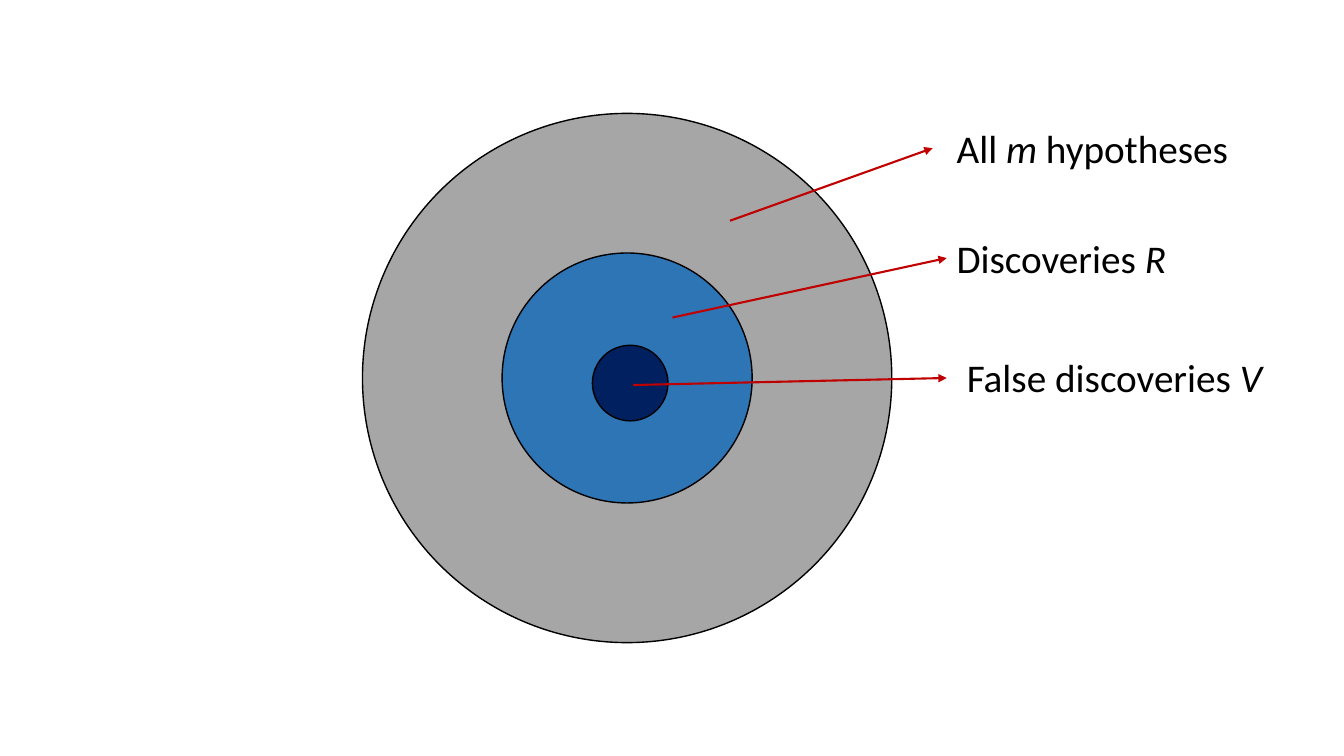
from lxml import etree
from pptx import Presentation
from pptx.dml.color import RGBColor
from pptx.enum.shapes import MSO_CONNECTOR, MSO_SHAPE
from pptx.enum.text import MSO_AUTO_SIZE
from pptx.oxml.ns import qn
from pptx.util import Inches, Pt

COLORS = {"hypotheses": "A6A6A6", "discoveries": "2E75B6", "false": "002060",
          "outline": "000000", "arrow": "C00000", "text": "000000"}
FONT = "Calibri"
LABEL_HEIGHT = 0.57

# Colour name, centre x, centre y, diameter
CIRCLES = [
    ("hypotheses", 6.22, 3.75, 5.25),
    ("discoveries", 6.22, 3.75, 2.48),
    ("false", 6.25, 3.8, 0.75),
]
# Start and end of each arrow
ARROWS = [
    ((7.24, 2.19), (9.25, 1.47)),
    ((6.67, 3.15), (9.39, 2.56)),
    ((6.28, 3.82), (9.39, 3.75)),
]
# Left, top, width, and spans of (text, italic)
LABELS = [
    (9.39, 1.18, 2.92, [("All ", False), ("m", True), (" hypotheses", False)]),
    (9.39, 2.28, 2.3, [("Discoveries ", False), ("R", True)]),
    (9.49, 3.46, 3.25, [("False discoveries ", False), ("V", True)]),
]


def color(name):
    """Return the named colour."""
    return RGBColor.from_string(COLORS[name])


def add_circle(page, fill, center_x, center_y, diameter):
    """Draw an outlined circle around its centre."""
    left, top = center_x - diameter / 2, center_y - diameter / 2
    circle = page.shapes.add_shape(MSO_SHAPE.OVAL, Inches(left), Inches(top),
                                   Inches(diameter), Inches(diameter))
    circle.shadow.inherit = False
    circle.fill.solid()
    circle.fill.fore_color.rgb = color(fill)
    circle.line.color.rgb = color("outline")
    circle.line.width = Pt(1)


def add_arrow(page, start, end):
    """Draw a straight arrow with a triangular head at its end."""
    arrow = page.shapes.add_connector(
        MSO_CONNECTOR.STRAIGHT, *(Inches(value) for value in start + end))
    arrow.line.color.rgb = color("arrow")
    arrow.line.width = Pt(1.5)
    etree.SubElement(arrow.line._get_or_add_ln(), qn("a:tailEnd"), type="triangle")
    etree.SubElement(arrow._element.spPr, qn("a:effectLst"))


def add_label(page, spans, left, top, width, height=LABEL_HEIGHT, size=28):
    """Write one line of text made of plain and italic spans."""
    box = page.shapes.add_textbox(Inches(left), Inches(top),
                                  Inches(width), Inches(height))
    frame = box.text_frame
    frame.word_wrap = False
    frame.auto_size = MSO_AUTO_SIZE.SHAPE_TO_FIT_TEXT
    para = frame.paragraphs[0]
    for text, italic in spans:
        span = para.add_run()
        span.text = text
        span.font.name = FONT
        span.font.size = Pt(size)
        span.font.italic = italic
        span.font.color.rgb = color("text")


deck = Presentation()
deck.slide_width, deck.slide_height = Inches(13.33), Inches(7.5)
page = deck.slides.add_slide(deck.slide_layouts[6])

for circle in CIRCLES:
    add_circle(page, *circle)
for start, end in ARROWS:
    add_arrow(page, start, end)
for left, top, width, spans in LABELS:
    add_label(page, spans, left=left, top=top, width=width)

deck.save("out.pptx")
